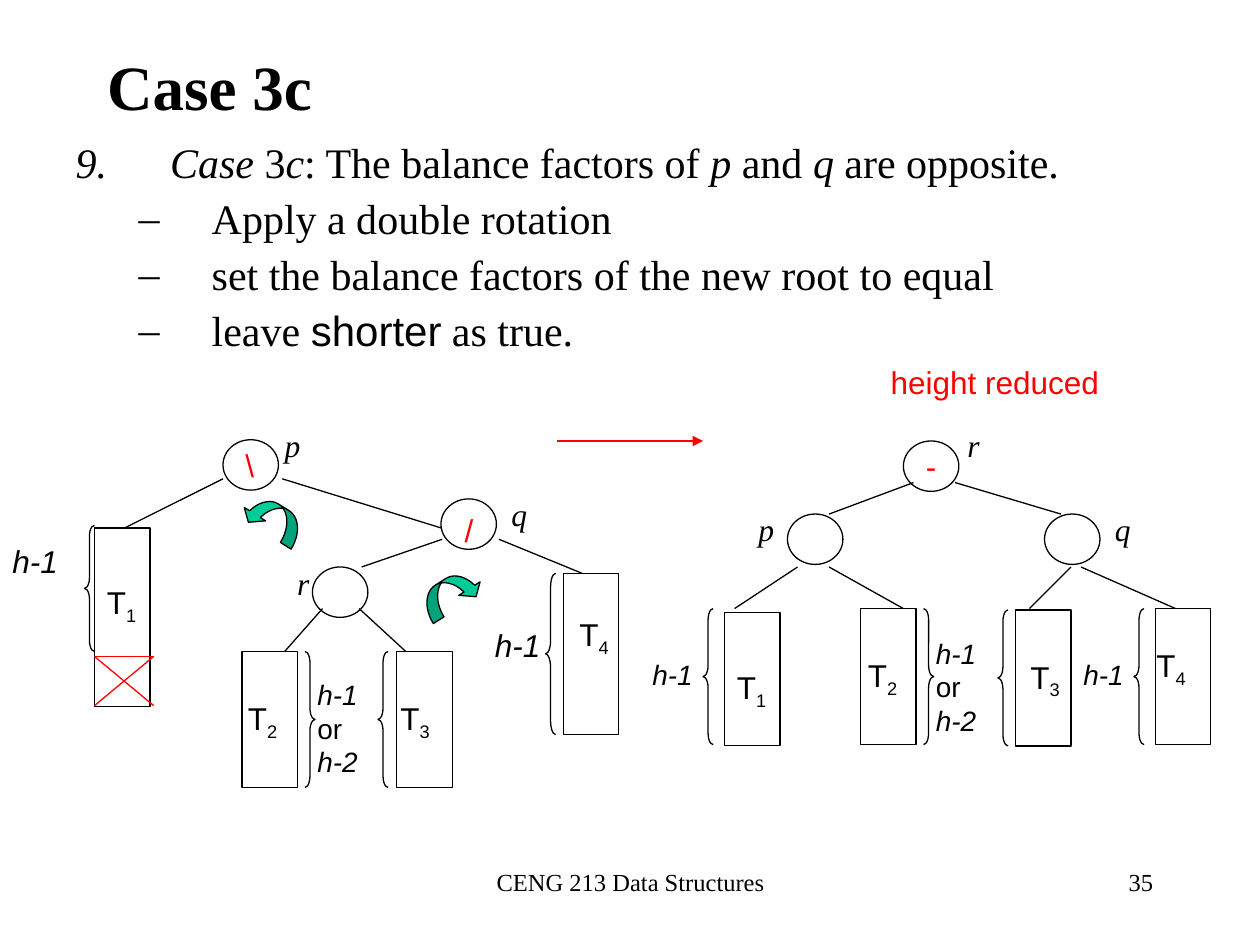
from lxml import etree
from pptx import Presentation
from pptx.dml.color import RGBColor
from pptx.enum.shapes import MSO_CONNECTOR, MSO_SHAPE
from pptx.enum.text import MSO_ANCHOR, MSO_AUTO_SIZE, PP_ALIGN
from pptx.oxml.ns import qn
from pptx.util import Inches, Pt

LEFT, CENTER, RIGHT = PP_ALIGN.LEFT, PP_ALIGN.CENTER, PP_ALIGN.RIGHT
MIDDLE, TOP = MSO_ANCHOR.MIDDLE, MSO_ANCHOR.TOP
NO_FIT = MSO_AUTO_SIZE.NONE
STRAIGHT = MSO_CONNECTOR.STRAIGHT
OVAL, RECTANGLE = MSO_SHAPE.OVAL, MSO_SHAPE.RECTANGLE
LEFT_BRACE, RIGHT_BRACE = MSO_SHAPE.LEFT_BRACE, MSO_SHAPE.RIGHT_BRACE
LEFT_ARROW, RIGHT_ARROW = MSO_SHAPE.CURVED_LEFT_ARROW, MSO_SHAPE.CURVED_RIGHT_ARROW

COLORS = {"ink": "000000", "accent": "FF0000", "rotation": "00CC99"}
SERIF, SANS = "Times New Roman", "Arial"
ITALIC = {"italic": True}
NODE_SIZE = (0.44, 0.4)
SUBTREE_WIDTH, SUBTREE_HEIGHT = 0.44, 1.08
BRACE_WIDTH = 0.08
HEIGHT_CHOICE = [("h-1 ", ITALIC), "or", "\n", ("h-2", ITALIC)]


def color(name):
    return RGBColor.from_string(COLORS[name])


def write(para, spans, size=18, font=SANS, ink="ink", bold=False, italic=False, subscript=False):
    """Add spans to para; a span is text or (text, format changes), "\\n" a line break."""
    base = dict(size=size, font=font, ink=ink, bold=bold, italic=italic, subscript=subscript)
    for span in [spans] if isinstance(spans, str) else spans:
        if span == "\n":
            para.add_line_break()
            continue
        text, changes = (span, {}) if isinstance(span, str) else span
        look = {**base, **changes}
        run = para.add_run()
        run.text = text
        run.font.size, run.font.name = Pt(look["size"]), look["font"]
        run.font.bold, run.font.italic = look["bold"], look["italic"]
        run.font.color.rgb = color(look["ink"])
        if look["subscript"]:
            run.font._element.set("baseline", "-25000")


def set_bullet(para, margin, hang, kind, **attributes):
    props = para._p.get_or_add_pPr()
    props.set("marL", str(Inches(margin)))
    props.set("indent", str(-Inches(hang)))
    etree.SubElement(props, qn("a:buFont"), typeface=SERIF)
    etree.SubElement(props, qn(kind), **attributes)


class SlidePainter:
    def __init__(self, slide, line_width=0.75):
        self.slide = slide
        self.shapes = slide.shapes
        self.line_width = Pt(line_width)

    def placeholder(self, index, left, top, width, height, anchor):
        box = self.slide.placeholders[index]
        box.left, box.top = Inches(left), Inches(top)
        box.width, box.height = Inches(width), Inches(height)
        frame = box.text_frame
        frame.auto_size, frame.vertical_anchor = NO_FIT, anchor
        return frame

    def title(self, text):
        para = self.placeholder(0, 0.75, 0.42, 8.5, 0.51, MIDDLE).paragraphs[0]
        para.alignment = LEFT
        write(para, text, size=36, font=SERIF, bold=True)

    def body(self, heading, points):
        frame = self.placeholder(1, 0.5, 1.08, 9, 1.92, TOP)
        for index, spans in enumerate([heading, *points]):
            para = frame.add_paragraph() if index else frame.paragraphs[0]
            if index:
                para.level = 1
                set_bullet(para, 1.08, 0.58, "a:buChar", char="–")
            else:
                set_bullet(para, 0.75, 0.75, "a:buAutoNum", type="arabicPeriod", startAt="9")
            para.line_spacing = 0.9
            para.space_before = Pt(6 if index else 0)
            write(para, spans, size=24, font=SERIF)

    def text(self, spans, left, top, width, height=0.4, align=LEFT, **look):
        box = self.shapes.add_textbox(Inches(left), Inches(top), Inches(width), Inches(height))
        box.text_frame.word_wrap = True
        para = box.text_frame.paragraphs[0]
        para.alignment = align
        write(para, spans, **look)

    def shape(self, preset, left, top, width, height, fill=None):
        shape = self.shapes.add_shape(
            preset, Inches(left), Inches(top), Inches(width), Inches(height))
        shape.shadow.inherit = False
        shape.line.color.rgb, shape.line.width = color("ink"), self.line_width
        if fill:
            shape.fill.solid()
            shape.fill.fore_color.rgb = color(fill)
        else:
            shape.fill.background()
        return shape

    def node(self, left, top):
        self.shape(OVAL, left, top, *NODE_SIZE)

    def subtree(self, number, left, top, label_left, label_top, height=SUBTREE_HEIGHT):
        self.shape(RECTANGLE, left, top, SUBTREE_WIDTH, height)
        self.text(["T", (number, {"subscript": True})], label_left, label_top, 0.7, 0.44)

    def brace(self, left, top, height=SUBTREE_HEIGHT, preset=LEFT_BRACE):
        brace = self.shape(preset, left, top, BRACE_WIDTH, height)
        brace.adjustments[0] = height / 12 / BRACE_WIDTH

    def rotation_arrow(self, preset, left, top, angle):
        arrow = self.shape(preset, left, top, 0.25, 0.5, fill="rotation")
        for index, value in enumerate((0.4, 0.8, 0.33)):
            arrow.adjustments[index] = value
        arrow.rotation = angle
        arrow._element.spPr.xfrm.set("flipV", "1")

    def line(self, x1, y1, x2, y2, ink="ink", arrow=False):
        line = self.shapes.add_connector(STRAIGHT, Inches(x1), Inches(y1), Inches(x2), Inches(y2))
        line.line.color.rgb, line.line.width = color(ink), self.line_width
        if arrow:
            etree.SubElement(line.line._get_or_add_ln(), qn("a:tailEnd"), type="triangle")
        etree.SubElement(line._element.spPr, qn("a:effectLst"))


def draw_tree(painter, nodes, names, edges, subtrees, braces):
    for node in nodes:
        painter.node(*node)
    for name, left, top in names:
        painter.text(name, left, top, 0.52, font=SERIF, italic=True)
    for edge in edges:
        painter.line(*edge)
    for subtree in subtrees:
        painter.subtree(*subtree)
    for brace in braces:
        painter.brace(*brace)


def draw_tree_before(painter):
    draw_tree(
        painter,
        nodes=[(1.77, 3.49), (3.5, 3.96), (2.48, 4.5)],
        names=[("p", 2.16, 3.33), ("q", 3.96, 3.88), ("r", 2.26, 4.43)],
        edges=[(1.77, 3.8, 0.99, 4.19), (2.24, 3.8, 3.5, 4.19),
               (3.51, 4.28, 2.87, 4.5), (3.96, 4.28, 4.62, 4.55),
               (2.56, 4.83, 2.26, 5.17), (2.85, 4.83, 3.22, 5.17)],
        subtrees=[("1", 0.75, 4.19, 0.75, 4.58, 1.42), ("2", 1.92, 5.17, 1.87, 5.5),
                  ("3", 3.15, 5.17, 3.08, 5.5), ("4", 4.47, 4.55, 4.5, 4.83, 1.28)],
        braces=[(0.67, 4.17, 1), (2.42, 5.17, SUBTREE_HEIGHT, RIGHT_BRACE),
                (3, 5.17), (4.33, 4.55, 1.28)])
    painter.text("\\", 1.85, 3.49, 0.37, ink="accent")
    painter.text("/", 3.59, 4.01, 0.37, ink="accent")
    painter.text("h-1", 0, 4.25, 0.81, italic=True)
    painter.text("h-1", 3.83, 4.92, 0.61, italic=True)
    painter.text(HEIGHT_CHOICE, 2.42, 5.33, 0.74, 0.9, size=16)
    for removed_edge in [(0.75, 5.21, 1.22, 5.21), (1.22, 5.21, 0.75, 5.6),
                         (0.75, 5.21, 1.22, 5.6)]:
        painter.line(*removed_edge, ink="accent")
    painter.rotation_arrow(LEFT_ARROW, 2.04, 3.87, 302.2)
    painter.rotation_arrow(RIGHT_ARROW, 3.46, 4.46, 57.8)


def draw_tree_after(painter):
    draw_tree(
        painter,
        nodes=[(7.17, 3.5), (6.25, 4.08), (8.29, 4.08)],
        names=[("r", 7.58, 3.33), ("p", 5.92, 4), ("q", 8.75, 4)],
        edges=[(7.25, 3.83, 6.58, 4.08), (7.58, 3.83, 8.42, 4.08),
               (6.33, 4.5, 5.83, 4.83), (6.58, 4.5, 7.17, 4.83),
               (8.5, 4.5, 8.17, 4.83), (8.58, 4.5, 9.33, 4.83)],
        subtrees=[("1", 5.75, 4.86, 5.75, 5.25, 1.06), ("2", 6.83, 4.83, 6.79, 5.16),
                  ("3", 8.06, 4.84, 8.08, 5.17), ("4", 9.17, 4.83, 9.08, 5.08)],
        braces=[(5.58, 4.83), (7.33, 4.83, SUBTREE_HEIGHT, RIGHT_BRACE),
                (7.92, 4.84), (9, 4.83)])
    painter.text("-", 7.25, 3.5, 0.37, ink="accent")
    for left in (5.08, 8.5):
        painter.text("h-1", left, 5.17, 0.7, 0.37, size=16, italic=True)
    painter.text(HEIGHT_CHOICE, 7.33, 5, 0.74, 0.9, size=16)


def main():
    deck = Presentation()
    deck.slide_width, deck.slide_height = Inches(10), Inches(7.5)
    painter = SlidePainter(deck.slides.add_slide(deck.slide_layouts[1]))
    painter.title("Case 3c")
    painter.body(
        [("Case", ITALIC), " 3", ("c", ITALIC), ": The balance factors of ",
         ("p", ITALIC), " and ", ("q", ITALIC), " are opposite."],
        ["Apply a double rotation",
         "set the balance factors of the new root to equal",
         ["leave ", ("shorter", {"font": SANS}), " as true."]])
    painter.text("height reduced", 6.97, 2.83, 2.69, ink="accent")
    draw_tree_before(painter)
    painter.line(4.42, 3.5, 5.58, 3.5, ink="accent", arrow=True)
    draw_tree_after(painter)
    painter.text("CENG 213 Data Structures", 3.42, 6.83, 3.17, 0.5, CENTER, size=14, font=SERIF)
    painter.text("35", 7.17, 6.83, 2.08, 0.5, RIGHT, size=14, font=SERIF)
    deck.save("out.pptx")


if __name__ == "__main__":
    main()
